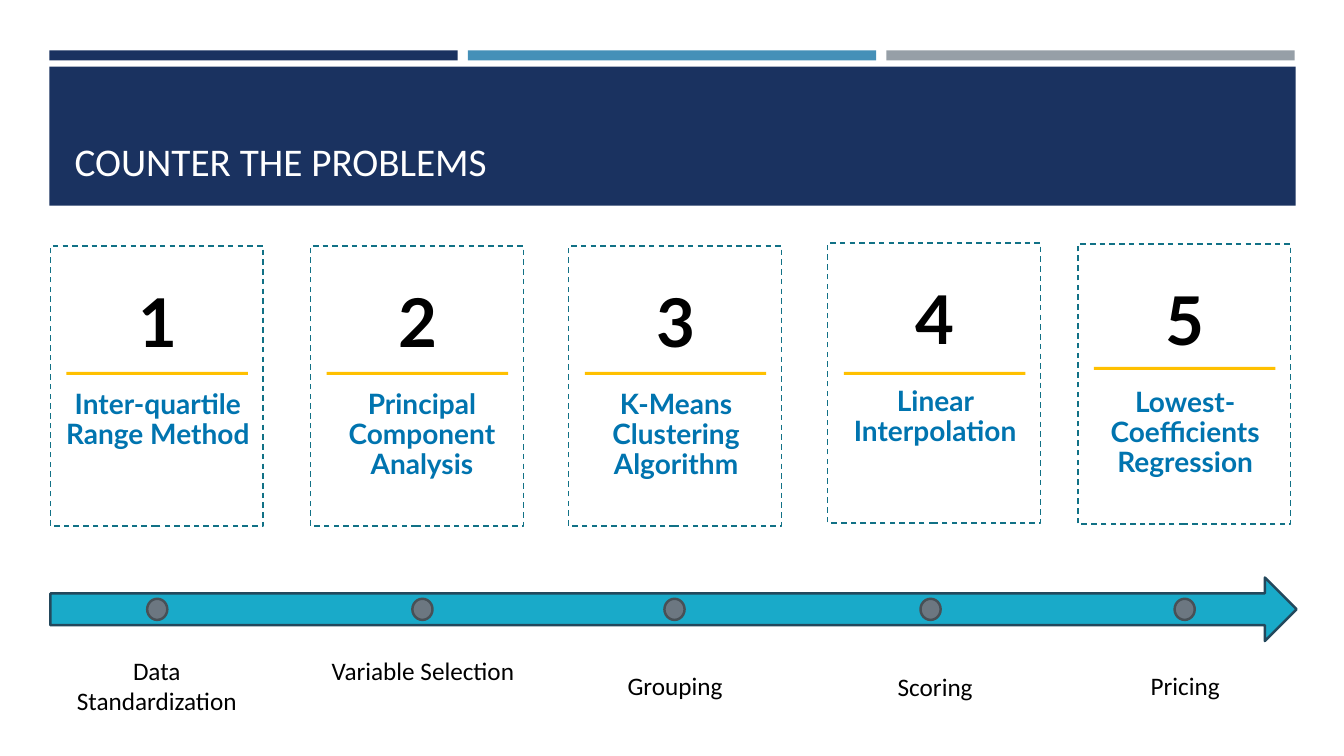
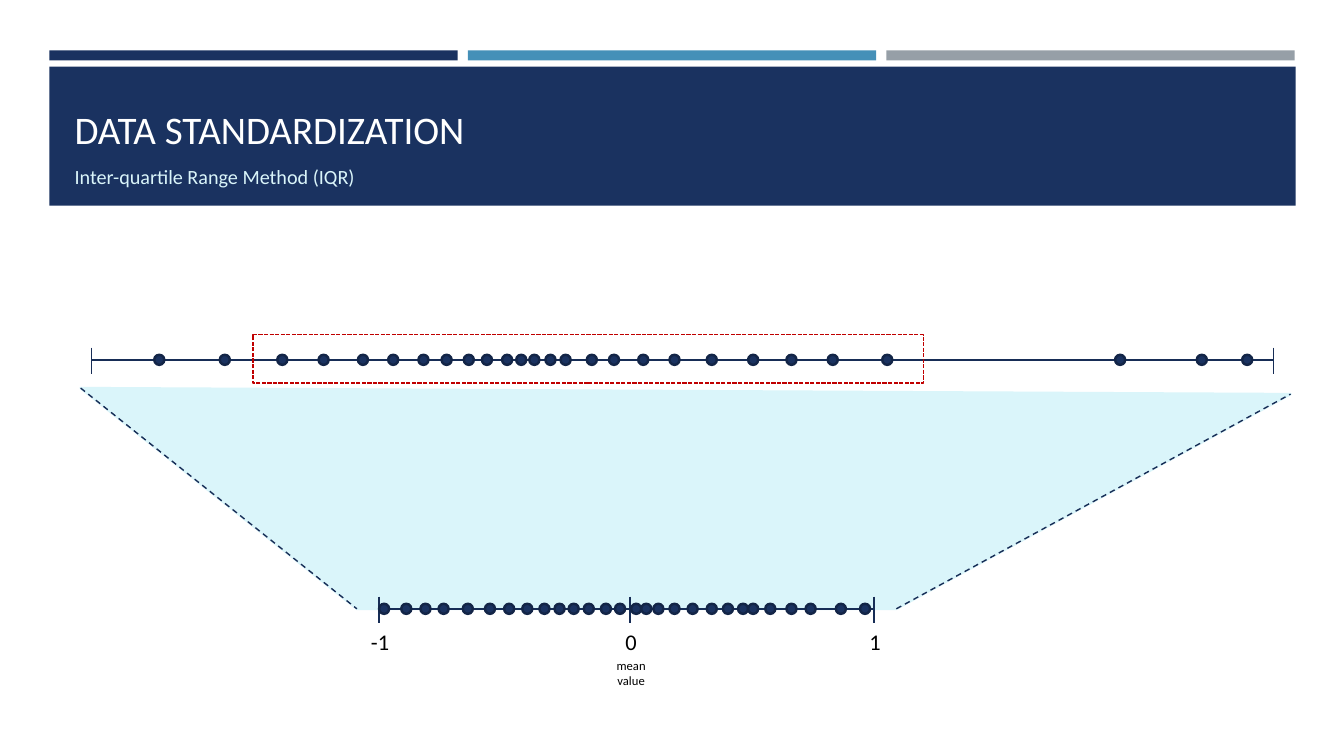
from dataclasses import dataclass
from typing import Any, Optional

from lxml import etree
from pptx import Presentation
from pptx.dml.color import RGBColor
from pptx.enum.dml import MSO_LINE
from pptx.enum.shapes import MSO_CONNECTOR, MSO_SHAPE
from pptx.enum.text import MSO_ANCHOR, MSO_AUTO_SIZE, PP_ALIGN
from pptx.oxml.ns import qn
from pptx.util import Inches, Pt

RECTANGLE, OVAL = MSO_SHAPE.RECTANGLE, MSO_SHAPE.OVAL
RIGHT_ARROW = MSO_SHAPE.RIGHT_ARROW
STRAIGHT = MSO_CONNECTOR.STRAIGHT
DASH, SHORT_DASH = MSO_LINE.DASH, MSO_LINE.SQUARE_DOT
LEFT, CENTER = PP_ALIGN.LEFT, PP_ALIGN.CENTER
TOP, BOTTOM = MSO_ANCHOR.TOP, MSO_ANCHOR.BOTTOM
NO_AUTOFIT = MSO_AUTO_SIZE.NONE

NAVY, BLUE, GRAY = "1A3260", "4590B8", "969FA7"
WHITE, BLACK, PALE_CYAN = "FFFFFF", "000000", "DAF5FA"
AXIS_NAVY, DOT_EDGE = "172D56", "132547"
BODY_FONT, CARD_FONT = "Calibri", "Lato"


@dataclass(frozen=True)
class Box:
    left: float
    top: float
    width: float
    height: float


@dataclass(frozen=True)
class Outline:
    color: str
    width: float
    dash: Any = None


@dataclass(frozen=True)
class TextStyle:
    size: float
    color: str = BLACK
    font: str = BODY_FONT
    bold: bool = False
    align: Any = CENTER
    spacing: float = 1.0


@dataclass(frozen=True)
class Step:
    method: str
    stage: str
    left: float
    top: float
    label_left: float
    rule_top: float
    dot_left: float
    stage_left: float
    stage_top: float


@dataclass(frozen=True)
class Axis:
    left: float
    right: float
    y: float
    ticks: tuple[float, ...]
    dots: tuple[float, ...]


BANDS = ((0.49, NAVY), (4.64, BLUE), (8.79, GRAY))
TITLE_STYLE = TextStyle(28, WHITE, align=LEFT)
SPACED_TITLE = TextStyle(27.9, WHITE, align=LEFT, spacing=1.5)
SUBTITLE_STYLE = TextStyle(14.4, PALE_CYAN, align=LEFT, spacing=1.5)
NUMBER_STYLE = TextStyle(48, BLACK, CARD_FONT, True, spacing=0.9)
METHOD_STYLE = TextStyle(20, "0074AF", CARD_FONT, True, spacing=0.9)
STAGE_STYLE = TextStyle(18)
AXIS_STYLE = TextStyle(16)
NOTE_STYLE = TextStyle(9)

STEPS = (
    Step("Inter-quartile Range Method", "Data Standardization",
         0.5, 2.44, 0.46, 3.69, 1.46, 0.5, 6.45),
    Step("Principal Component Analysis", "Variable Selection",
         3.08, 2.44, 3.08, 3.69, 4.09, 3.14, 6.45),
    Step("K-Means Clustering Algorithm", "Grouping",
         5.64, 2.44, 5.6, 3.69, 6.59, 5.64, 6.6),
    Step("Linear Interpolation", "Scoring",
         8.21, 2.41, 8.17, 3.69, 9.13, 8.22, 6.61),
    Step("Lowest-Coefficients Regression", "Pricing",
         10.69, 2.42, 10.65, 3.64, 11.65, 10.7, 6.6),
)

RAW_AXIS = Axis(0.91, 12.63, 3.57, (0.91, 12.63), (
    1.53, 2.18, 2.75, 3.16, 3.55, 3.85, 4.15, 4.38, 4.6, 4.78, 4.98, 5.12,
    5.25, 5.41, 5.56, 5.82, 6.04, 6.33, 6.64, 7.01, 7.42, 7.8, 8.21, 8.75,
    11.06, 11.87, 12.32))
SCALED_AXIS = Axis(3.76, 8.67, 6.04, (3.76, 6.25, 8.67), (
    3.76, 3.98, 4.17, 4.35, 4.59, 4.81, 5, 5.18, 5.35, 5.5, 5.64, 5.79,
    5.96, 6.1, 6.26, 6.36, 6.48, 6.64, 6.82, 7.01, 7.17, 7.32, 7.42, 7.59,
    7.8, 7.99, 8.29, 8.53))
FUNNEL = ((0.8, 3.85), (12.8, 3.91), (8.89, 6.04), (3.54, 6.04))


def rgb(color: str) -> RGBColor:
    return RGBColor.from_string(color)


def set_values(target: Any, values: dict[str, Any]) -> None:
    for name, value in values.items():
        setattr(target, name, value)


def inches(box: Box) -> tuple:
    return tuple(Inches(value) for value in
                 (box.left, box.top, box.width, box.height))


def draw_line(line: Any, outline: Outline) -> None:
    line.color.rgb = rgb(outline.color)
    line.width = Pt(outline.width)
    if outline.dash is not None:
        line.dash_style = outline.dash


def paint(shape: Any, fill: Optional[str], outline: Optional[Outline]) -> None:
    shape.shadow.inherit = False
    if fill:
        shape.fill.solid()
        shape.fill.fore_color.rgb = rgb(fill)
    else:
        shape.fill.background()
    if outline:
        draw_line(shape.line, outline)
    else:
        shape.line.fill.background()


def add_shape(slide: Any, kind: Any, box: Box, fill: Optional[str] = None,
              outline: Optional[Outline] = None) -> None:
    paint(slide.shapes.add_shape(kind, *inches(box)), fill, outline)


def add_line(slide: Any, start: tuple[float, float], end: tuple[float, float],
             outline: Outline) -> None:
    connector = slide.shapes.add_connector(
        STRAIGHT, *(Inches(value) for value in (*start, *end)))
    draw_line(connector.line, outline)
    etree.SubElement(connector.element.spPr, qn("a:effectLst"))


def write(paragraph: Any, text: str, style: TextStyle) -> None:
    paragraph.text = text
    set_values(paragraph, {"alignment": style.align,
                           "line_spacing": style.spacing,
                           "space_before": Pt(0)})
    set_values(paragraph.font, {"size": Pt(style.size), "name": style.font,
                                "bold": style.bold})
    paragraph.font.color.rgb = rgb(style.color)


def add_text(slide: Any, box: Box, text: str, style: TextStyle,
             side_margin: float = 0.1) -> None:
    frame = slide.shapes.add_textbox(*inches(box)).text_frame
    set_values(frame, {"word_wrap": True, "auto_size": NO_AUTOFIT,
                       "vertical_anchor": TOP,
                       "margin_left": Inches(side_margin),
                       "margin_right": Inches(side_margin)})
    write(frame.paragraphs[0], text, style)


def add_slide(presentation: Any, box: Box,
              lines: list[tuple[str, TextStyle]]) -> Any:
    """Add a slide with the three bands, the header and its title."""
    slide = presentation.slides.add_slide(presentation.slide_layouts[5])
    for left, color in BANDS:
        add_shape(slide, RECTANGLE, Box(left, 0.5, 4.05, 0.1), color)
    add_shape(slide, RECTANGLE, Box(0.49, 0.66, 12.36, 1.38), NAVY)

    title = slide.shapes.title
    title.element.getparent().append(title.element)  # in front of the header
    set_values(title, dict(zip(("left", "top", "width", "height"),
                               inches(box))))
    frame = title.text_frame
    set_values(frame, {"vertical_anchor": BOTTOM, "word_wrap": True,
                       "auto_size": NO_AUTOFIT})
    for index, (text, style) in enumerate(lines):
        paragraph = frame.add_paragraph() if index else frame.paragraphs[0]
        write(paragraph, text, style)
    return slide


def add_step(slide: Any, number: int, step: Step) -> None:
    add_text(slide, Box(step.label_left, step.top + 1.38, 2.21, 1.01),
             step.method, METHOD_STYLE, 0.16)
    add_text(slide, Box(step.left - 0.04, step.top + 0.38, 2.21, 0.83),
             str(number), NUMBER_STYLE, 0.16)
    add_shape(slide, RECTANGLE, Box(step.left, step.top, 2.11, 2.78),
              outline=Outline("117186", 1, DASH))
    add_shape(slide, RECTANGLE,
              Box(step.left + 0.16, step.rule_top, 1.8, 0.03), "FFC000")
    add_shape(slide, OVAL, Box(step.dot_left, 5.94, 0.2, 0.21), "6C7781",
              Outline("485056", 1.75))
    add_text(slide, Box(step.stage_left, step.stage_top, 2.11, 0.71),
             step.stage, STAGE_STYLE)


def add_axis(slide: Any, axis: Axis) -> None:
    outline = Outline(AXIS_NAVY, 1)
    add_line(slide, (axis.left, axis.y), (axis.right, axis.y), outline)
    for x in axis.ticks:
        add_line(slide, (x, axis.y - 0.12), (x, axis.y + 0.14), outline)
    for left in axis.dots:
        add_shape(slide, OVAL, Box(left, axis.y - 0.05, 0.1, 0.1), NAVY,
                  Outline(DOT_EDGE, 1.75))


def add_funnel(slide: Any) -> None:
    start, *others = [(Inches(x), Inches(y)) for x, y in FUNNEL]
    builder = slide.shapes.build_freeform(*start)
    builder.add_line_segments(others, close=True)
    paint(builder.convert_to_shape(), PALE_CYAN, Outline(PALE_CYAN, 1.75))


def build_problems(presentation: Any) -> None:
    slide = add_slide(presentation, Box(0.64, 0.8, 12.06, 1.08),
                      [("COUNTER THE PROBLEMS", TITLE_STYLE)])
    add_shape(slide, RIGHT_ARROW, Box(0.5, 5.73, 12.36, 0.63), "19AAC9",
              Outline("23485C", 1.75))
    for number, step in enumerate(STEPS, 1):
        add_step(slide, number, step)


def build_standardization(presentation: Any) -> None:
    slide = add_slide(presentation, Box(0.64, 0.73, 12.06, 1.19),
                      [("DATA STANDARDIZATION", SPACED_TITLE),
                       ("Inter-quartile Range Method (IQR)", SUBTITLE_STYLE)])
    add_funnel(slide)

    # Raw values and the range that is kept
    add_axis(slide, RAW_AXIS)
    add_shape(slide, RECTANGLE, Box(2.51, 3.32, 6.65, 0.48),
              outline=Outline("C00000", 1, SHORT_DASH))

    # Standardized values
    add_axis(slide, SCALED_AXIS)
    for x, label in zip(SCALED_AXIS.ticks, ("-1", "0", "1")):
        add_text(slide, Box(x - 0.24, 6.18, 0.5, 0.37), label, AXIS_STYLE)
    add_text(slide, Box(5.88, 6.48, 0.76, 0.4), "mean value", NOTE_STYLE)

    # Sides of the funnel
    top_left, top_right, bottom_right, bottom_left = FUNNEL
    for start, end in ((top_left, bottom_left), (bottom_right, top_right)):
        add_line(slide, start, end, Outline(AXIS_NAVY, 1, DASH))


def main() -> None:
    presentation = Presentation()
    set_values(presentation, {"slide_width": Inches(13.33),
                              "slide_height": Inches(7.5)})
    build_problems(presentation)
    build_standardization(presentation)
    presentation.save("out.pptx")


if __name__ == "__main__":
    main()
